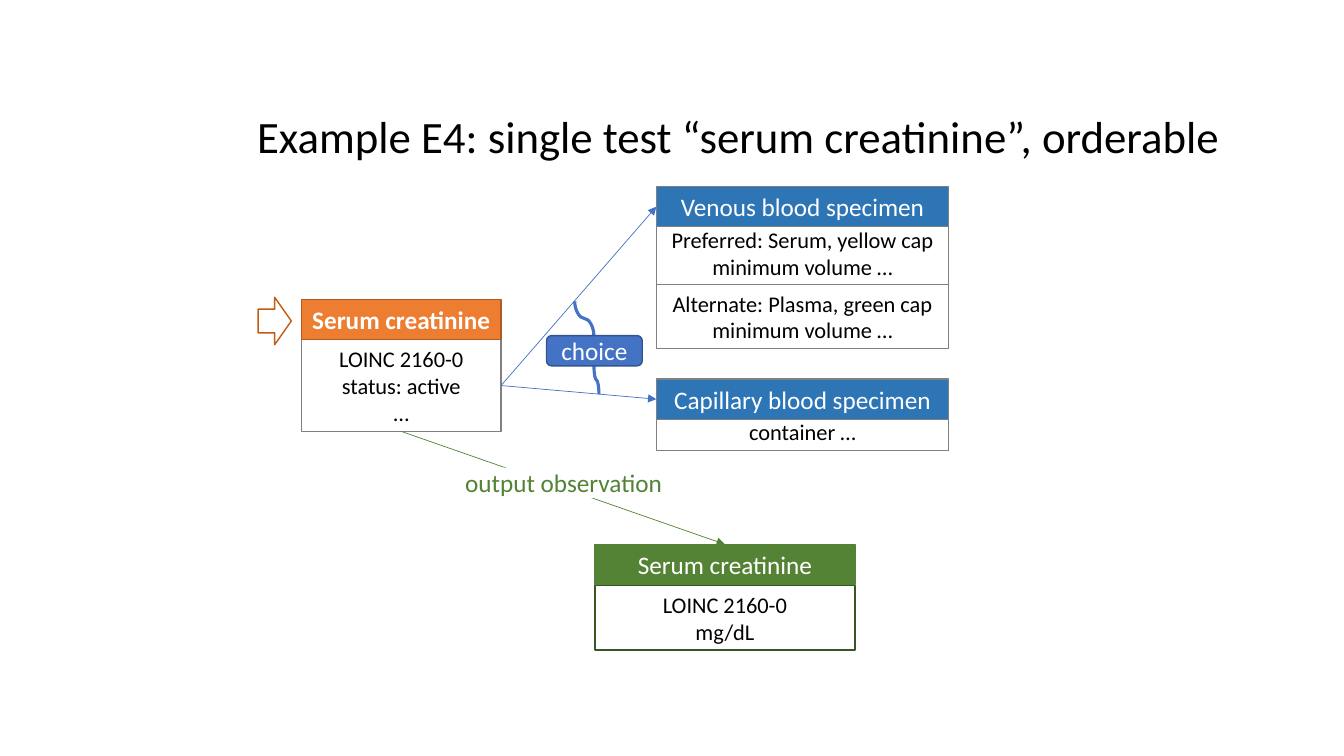
from dataclasses import dataclass

from lxml.etree import SubElement
from pptx import Presentation
from pptx.dml.color import RGBColor
from pptx.enum.shapes import MSO_CONNECTOR as Link, MSO_SHAPE as Form
from pptx.enum.text import MSO_ANCHOR as Anchor, MSO_AUTO_SIZE as Fit, PP_ALIGN as Align
from pptx.oxml.ns import qn
from pptx.shapes.autoshape import Shape
from pptx.shapes.connector import Connector
from pptx.util import Emu, Pt

PX = 9144  # 100 px to the inch


@dataclass(frozen=True)
class Theme:
    font: str = "Calibri"
    black: str = "000000"
    white: str = "FFFFFF"
    gray: str = "808080"
    orange: str = "ED7D31"
    rust: str = "AF5C24"
    arrow: str = "C55A11"
    blue: str = "2E75B6"
    link: str = "4472C4"
    navy: str = "325491"
    green: str = "548235"
    leaf: str = "558335"
    forest: str = "385723"
    title: float = 32
    head: float = 18
    body: float = 16
    edge: float = 1
    thin: float = 0.5
    thick: float = 2.25


T = Theme()


@dataclass(frozen=True)
class Box:
    left: int
    top: int
    width: int
    height: int
    text: str = ""
    fill: str = T.white
    line: str = T.gray
    color: str = T.black
    size: float = T.body
    bold: bool = False
    form: Form = Form.RECTANGLE


@dataclass(frozen=True)
class Arrow:
    start: str
    side: int
    end: str
    goal: int
    color: str


@dataclass(frozen=True)
class Curve:
    x1: int
    y1: int
    x2: int
    y2: int


def px(n: float) -> Emu:
    return Emu(round(n * PX))


def rgb(color: str) -> RGBColor:
    return RGBColor.from_string(color)


def draw_box(shapes, box: Box) -> Shape:
    shape = shapes.add_shape(box.form, px(box.left), px(box.top),
                             px(box.width), px(box.height))
    shape.shadow.inherit = False
    if box.fill:
        shape.fill.solid()
        shape.fill.fore_color.rgb = rgb(box.fill)
    else:
        shape.fill.background()
    if box.line:
        shape.line.color.rgb = rgb(box.line)
        shape.line.width = Pt(T.edge)
    else:
        shape.line.fill.background()
    if box.text:
        frame = shape.text_frame
        frame.word_wrap = True
        frame.vertical_anchor = Anchor.MIDDLE
        frame.margin_left = frame.margin_right = px(5)
        frame.margin_top = frame.margin_bottom = 0
        frame.text = box.text
        for para in frame.paragraphs:
            para.alignment = Align.CENTER
            font = para.font
            font.name, font.size, font.bold = T.font, Pt(box.size), box.bold
            font.color.rgb = rgb(box.color)
    return shape


def style(line: Connector, color: str, width: float) -> None:
    line.line.color.rgb = rgb(color)
    line.line.width = Pt(width)
    SubElement(line._element.spPr, qn("a:effectLst"))


def draw_arrow(shapes, parts: dict[str, Shape], arrow: Arrow) -> None:
    line = shapes.add_connector(Link.STRAIGHT, 0, 0, 0, 0)
    line.begin_connect(parts[arrow.start], arrow.side)
    line.end_connect(parts[arrow.end], arrow.goal)
    style(line, arrow.color, T.thin)
    SubElement(line.line._get_or_add_ln(), qn("a:tailEnd"), type="triangle")


def draw_curve(shapes, curve: Curve) -> None:
    # Lay the curve on its side, then turn it so both ends run vertically
    mid_x, mid_y = (curve.x1 + curve.x2) / 2, (curve.y1 + curve.y2) / 2
    dx, dy = curve.x1 - mid_x, curve.y1 - mid_y
    line = shapes.add_connector(Link.CURVE, px(mid_x - dy), px(mid_y + dx),
                                px(mid_x + dy), px(mid_y - dx))
    line._element.spPr.find(qn("a:xfrm")).set("rot", str(270 * 60000))
    style(line, T.link, T.thick)


def draw_title(title: Shape, text: str) -> None:
    title.left, title.top = px(245), px(78)
    title.width, title.height = px(994), px(89)
    frame = title.text_frame
    frame.text = text
    frame.word_wrap = True
    frame.auto_size = Fit.NONE
    frame.vertical_anchor = Anchor.BOTTOM
    para = frame.paragraphs[0]
    para.alignment, para.line_spacing = Align.LEFT, 0.9
    para.font.name, para.font.size = T.font, Pt(T.title)
    para.font.color.rgb = rgb(T.black)


def head(left: int, top: int, width: int, text: str, fill: str,
         line: str = T.gray, bold: bool = False) -> Box:
    return Box(left, top, width, 40, text, fill, line, T.white, T.head, bold)


# Bodies come before the heads that overlap them
BOXES = {
    "order": Box(299, 337, 198, 91, "LOINC 2160-0\nstatus: active\n…"),
    "order head": head(299, 297, 198, "Serum creatinine", T.orange, T.rust, True),
    "entry": Box(256, 295, 33, 47, fill="", line=T.arrow, form=Form.RIGHT_ARROW),
    "result": Box(590, 581, 258, 64, "LOINC 2160-0\nmg/dL", line=T.forest),
    "result head": head(590, 540, 258, "Serum creatinine", T.leaf, T.green),
    "serum": Box(651, 219, 290, 64, "Preferred: Serum, yellow cap\nminimum volume …"),
    "venous": head(651, 185, 290, "Venous blood specimen", T.blue),
    "plasma": Box(651, 282, 290, 64, "Alternate: Plasma, green cap\nminimum volume …"),
    "container": Box(651, 410, 290, 37, "container …"),
    "capillary": head(651, 376, 290, "Capillary blood specimen", T.blue),
}
ARROWS = [
    Arrow("order", 2, "result head", 0, T.green),
    Arrow("order", 3, "venous", 1, T.link),
    Arrow("order", 3, "capillary", 1, T.link),
]
CURVES = [Curve(589, 333, 570, 299), Curve(589, 363, 594, 391)]
LABELS = [
    Box(420, 464, 278, 30, "output observation", line="", color=T.green, size=T.head),
    Box(542, 333, 95, 30, "choice", T.link, T.navy, T.white, T.head,
        form=Form.ROUNDED_RECTANGLE),
]


def main() -> None:
    deck = Presentation()
    deck.slide_width, deck.slide_height = px(1333), px(750)
    shapes = deck.slides.add_slide(deck.slide_layouts[5]).shapes
    draw_title(shapes.title, "Example E4: single test “serum creatinine”, orderable")

    # Boxes, the links between them, then labels on the links
    parts = {name: draw_box(shapes, box) for name, box in BOXES.items()}
    for arrow in ARROWS:
        draw_arrow(shapes, parts, arrow)
    for curve in CURVES:
        draw_curve(shapes, curve)
    for label in LABELS:
        draw_box(shapes, label)
    deck.save("out.pptx")


if __name__ == "__main__":
    main()
